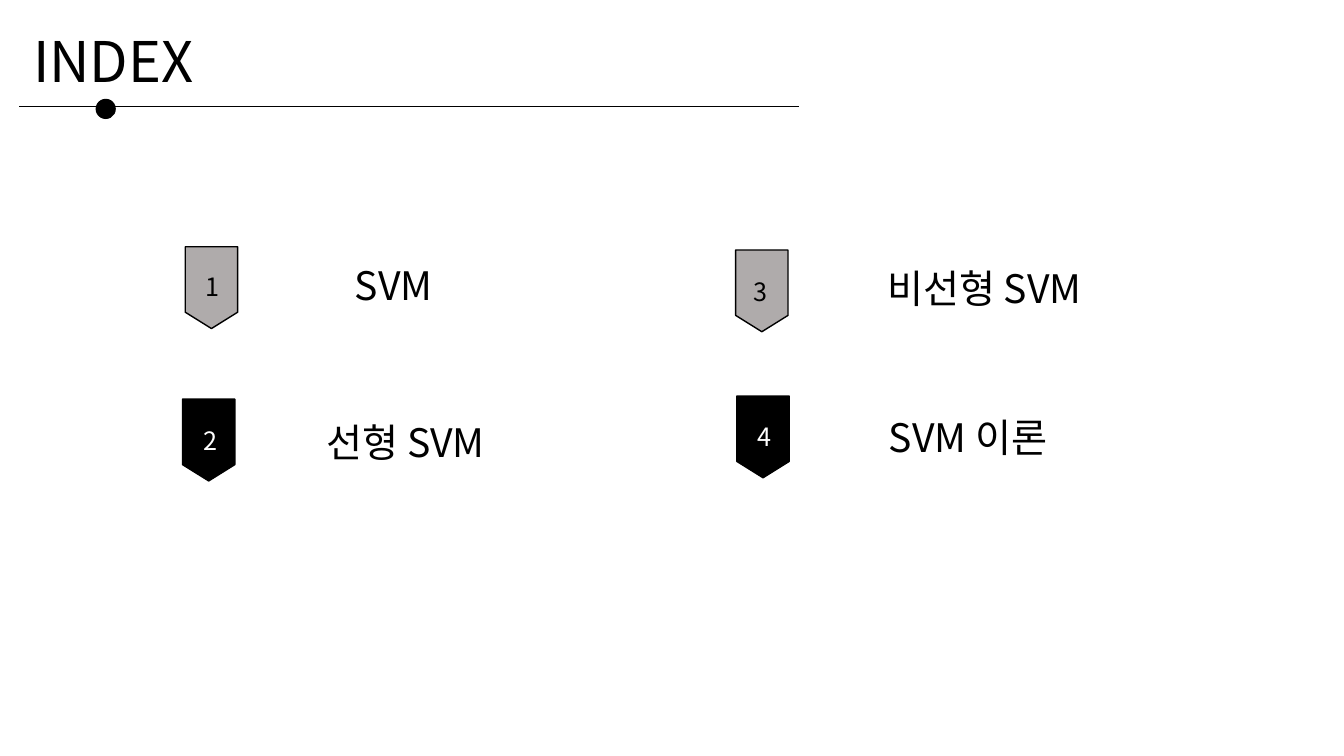
"""Build the index slide of an SVM presentation."""
from dataclasses import dataclass

from lxml.etree import SubElement
from pptx import Presentation
from pptx.dml.color import RGBColor
from pptx.enum.shapes import MSO_CONNECTOR, MSO_SHAPE
from pptx.enum.text import MSO_ANCHOR, MSO_AUTO_SIZE, PP_ALIGN
from pptx.oxml.ns import qn
from pptx.slide import Slide
from pptx.text.text import TextFrame
from pptx.util import Cm, Pt

FONT = "Noto Sans CJK KR"
BLACK, WHITE, GREY = "000000", "FFFFFF", "AFABAB"
BADGE_SIZE = (1.32, 2.06)
NUMBER_SIZE = (0.71, 1.02)


@dataclass(frozen=True)
class IndexEntry:
    """One numbered entry, with positions in centimetres."""

    number: str
    topic: str
    badge: tuple[float, float]
    number_at: tuple[float, float]
    topic_box: tuple[float, float, float, float]
    fill: str
    number_color: str


ENTRIES = [
    IndexEntry("1", "SVM", (4.67, 6.22), (4.93, 6.71), (7.47, 6.48, 4.9, 1.42), GREY, BLACK),
    IndexEntry("2", "선형 SVM", (4.6, 10.06), (4.88, 10.59), (7.39, 10.41, 5.66, 1.45), BLACK, WHITE),
    IndexEntry("3", "비선형 SVM", (18.54, 6.3), (18.75, 6.83), (21.54, 6.53, 6.53, 1.45), GREY, BLACK),
    IndexEntry("4", "SVM 이론", (18.57, 9.98), (18.85, 10.49), (21.95, 10.29, 4.9, 1.45), BLACK, WHITE),
]


def color(value: str) -> RGBColor:
    """Turn a hex string into a colour."""
    return RGBColor.from_string(value)


def write(frame: TextFrame, text: str, *, size: float, fill: str = BLACK,
          align: PP_ALIGN = PP_ALIGN.LEFT) -> None:
    """Fill a text frame with one formatted paragraph."""
    frame.word_wrap = True
    frame.auto_size = MSO_AUTO_SIZE.NONE
    frame.vertical_anchor = MSO_ANCHOR.MIDDLE
    para = frame.paragraphs[0]
    para.alignment = align
    para.line_spacing = 1.0
    span = para.add_run()
    span.text = text
    span.font.size = Pt(size)
    span.font.name = FONT
    span.font.color.rgb = color(fill)
    SubElement(span.font._element, qn("a:ea"), typeface=FONT)


def draw_heading(page: Slide) -> None:
    """Place the title with its rule and dot."""
    title = page.shapes.title
    title.left, title.top, title.width, title.height = map(Cm, (0.58, 0.53, 12.9, 1.96))
    write(title.text_frame, "INDEX", size=40)
    ornament = page.shapes.add_group_shape()
    rule = ornament.shapes.add_connector(
        MSO_CONNECTOR.STRAIGHT, Cm(0.48), Cm(2.69), Cm(20.14), Cm(2.69))
    rule.line.color.rgb = color(BLACK)
    rule.line.width = Pt(0.5)
    SubElement(rule._element.spPr, qn("a:effectLst"))
    dot = ornament.shapes.add_shape(
        MSO_SHAPE.OVAL, Cm(2.41), Cm(2.49), Cm(0.51), Cm(0.51))
    dot.shadow.inherit = False
    dot.fill.solid()
    dot.fill.fore_color.rgb = color(BLACK)
    dot.line.fill.background()


def draw_entry(page: Slide, entry: IndexEntry) -> None:
    """Draw the badge, number and topic of an entry."""
    badge = page.shapes.add_shape(
        MSO_SHAPE.FLOWCHART_OFFPAGE_CONNECTOR, *map(Cm, entry.badge + BADGE_SIZE))
    badge.shadow.inherit = False
    badge.fill.solid()
    badge.fill.fore_color.rgb = color(entry.fill)
    badge.line.color.rgb = color(BLACK)
    badge.line.width = Pt(1)
    number = page.shapes.add_textbox(*map(Cm, entry.number_at + NUMBER_SIZE))
    write(number.text_frame, entry.number, size=18, fill=entry.number_color)
    topic = page.shapes.add_textbox(*map(Cm, entry.topic_box))
    write(topic.text_frame, entry.topic, size=28, align=PP_ALIGN.CENTER)


def main() -> None:
    """Build and save the deck."""
    deck = Presentation()
    deck.slide_width, deck.slide_height = Cm(33.87), Cm(19.05)
    page = deck.slides.add_slide(deck.slide_layouts.get_by_name("Title Only"))
    draw_heading(page)
    for entry in ENTRIES:
        draw_entry(page, entry)
    deck.save("out.pptx")


if __name__ == "__main__":
    main()
